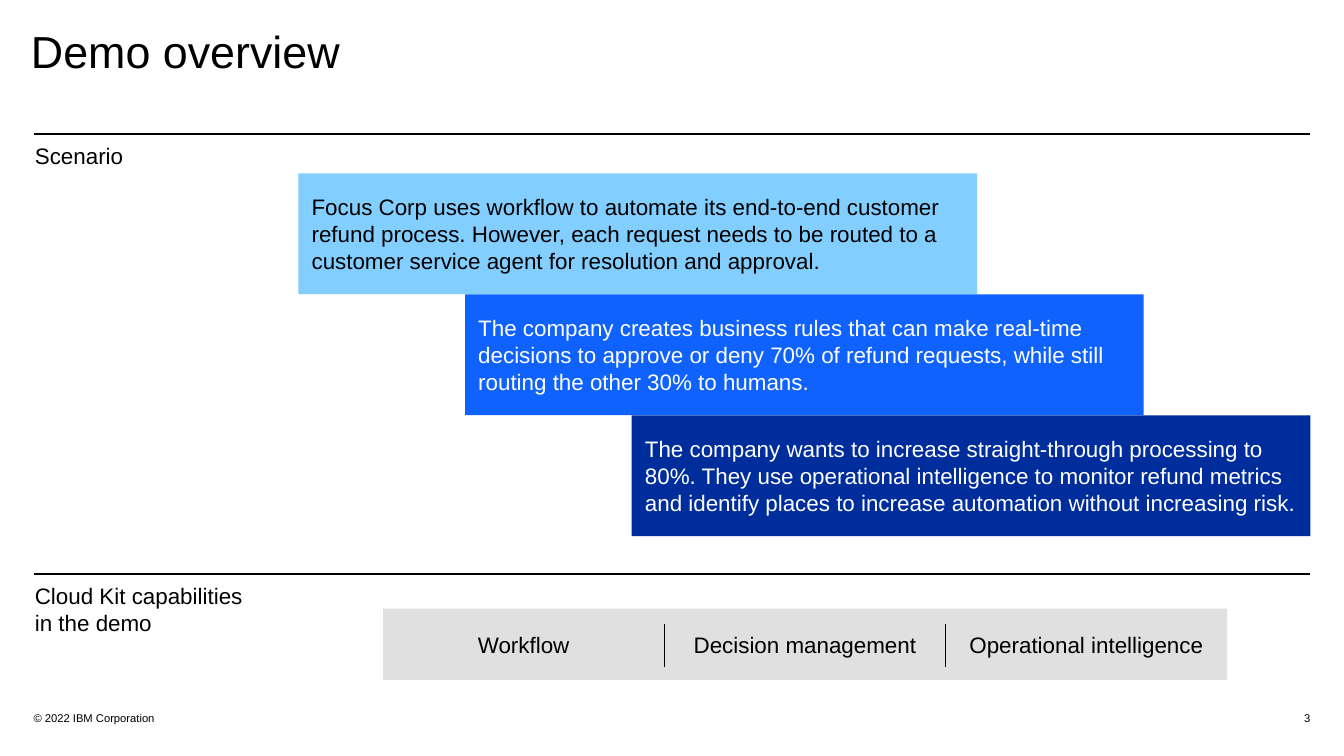
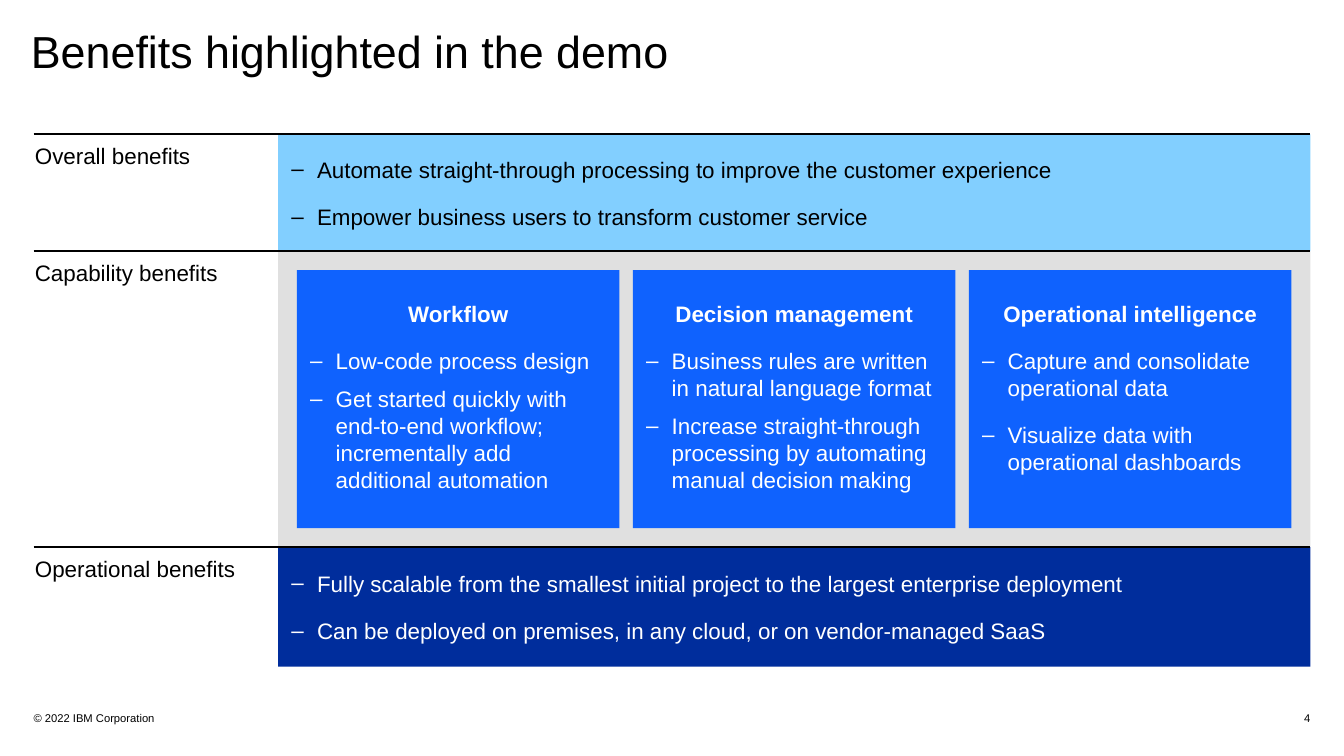
from dataclasses import dataclass

from lxml import etree
from pptx import Presentation
from pptx.dml.color import RGBColor
from pptx.enum.shapes import MSO_CONNECTOR, MSO_SHAPE
from pptx.enum.text import MSO_ANCHOR, MSO_AUTO_SIZE, PP_ALIGN
from pptx.oxml.ns import qn
from pptx.util import Emu, Inches, Pt

LEFT, CENTER, RIGHT = PP_ALIGN.LEFT, PP_ALIGN.CENTER, PP_ALIGN.RIGHT
TOP, MIDDLE = MSO_ANCHOR.TOP, MSO_ANCHOR.MIDDLE
RECT, STRAIGHT = MSO_SHAPE.RECTANGLE, MSO_CONNECTOR.STRAIGHT
NO_AUTOFIT = MSO_AUTO_SIZE.NONE


@dataclass(frozen=True)
class Theme:
    font: str = "Arial"
    ink: str = "000000"
    paper: str = "FFFFFF"
    sky: str = "82CFFF"
    blue: str = "0F62FE"
    navy: str = "002D9C"
    grey: str = "E0E0E0"
    title: int = 24
    body: int = 12
    footer: int = 6
    para_gap: int = 11
    tight_gap: int = 6


T = Theme()

# Grid of square cells, ten to the slide's width
SLIDE_W = Inches(10)
SLIDE_H = SLIDE_W * 9 // 16
CELL = SLIDE_W // 10
MARGIN = 0.25
RIGHT_EDGE = 10 - MARGIN
TEXT_LEFT = 0.23
FIRST_RULE = 1.0
LABEL_INSET = 0.03
SHAPE_INSETS = (0.1, 0.05, 0.1, 0.05)
BULLET_INDENT = 0.19

CAPABILITIES = ("Workflow", "Decision management", "Operational intelligence")


def cells(*lengths):
    return [Emu(round(n * CELL)) for n in lengths]


def rgb(code):
    return RGBColor.from_string(code)


# Text helpers
def setup_frame(tf, anchor, insets):
    tf.word_wrap = True
    tf.auto_size = NO_AUTOFIT
    tf.vertical_anchor = anchor
    (tf.margin_left, tf.margin_top,
     tf.margin_right, tf.margin_bottom) = cells(*insets)


def style(p, color, size=T.body, align=LEFT, bold=False):
    p.alignment = align
    for r in p.runs:
        r.font.name = T.font
        r.font.size = Pt(size)
        r.font.bold = bold
        r.font.color.rgb = rgb(color)
    # Line breaks carry the text size too
    for br in p._p.findall(qn("a:br")):
        etree.SubElement(br, qn("a:rPr"), sz=str(size * 100))


def add_bullet(p, color):
    indent = cells(BULLET_INDENT)[0]
    pPr = p._p.get_or_add_pPr()
    pPr.set("marL", str(indent))
    pPr.set("indent", str(-indent))
    clr = etree.SubElement(pPr, qn("a:buClr"))
    etree.SubElement(clr, qn("a:srgbClr"), val=color)
    etree.SubElement(pPr, qn("a:buFont"), typeface=T.font)
    etree.SubElement(pPr, qn("a:buChar"), char="–")


def fill_list(tf, items, color, heading=None, gap=T.para_gap):
    """Dashed list, with an optional bold centred heading on top."""
    p = tf.paragraphs[0]
    if heading:
        p.text = heading
        style(p, color, align=CENTER, bold=True)
    for i, item in enumerate(items):
        if i or heading:
            p = tf.add_paragraph()
            p.space_before = Pt(gap if i else T.para_gap)
        p.text = item
        add_bullet(p, color)
        style(p, color)


# Element helpers
def add_text(s, box, text, size=T.body, align=LEFT, anchor=TOP,
             inset=LABEL_INSET):
    tf = s.shapes.add_textbox(*cells(*box)).text_frame
    setup_frame(tf, anchor, (inset,) * 4)
    tf.text = text
    style(tf.paragraphs[0], T.ink, size, align)


def add_block(s, box, color, anchor=MIDDLE, insets=SHAPE_INSETS):
    sp = s.shapes.add_shape(RECT, *cells(*box))
    sp.shadow.inherit = False
    sp.fill.solid()
    sp.fill.fore_color.rgb = rgb(color)
    sp.line.fill.background()
    setup_frame(sp.text_frame, anchor, insets)
    return sp.text_frame


def add_line(s, x1, y1, x2, y2, width=1):
    ln = s.shapes.add_connector(STRAIGHT, *cells(x1, y1, x2, y2))
    ln.line.color.rgb = rgb(T.ink)
    ln.line.width = Pt(width)
    etree.SubElement(ln._element.spPr, qn("a:effectLst"))


def add_section(s, top, label):
    """Full-width rule with its row label underneath."""
    add_line(s, MARGIN, top, RIGHT_EDGE, top)
    add_text(s, (TEXT_LEFT, top + 0.03, 1.76, 0.44), label)


def add_slide(prs, title, number):
    s = prs.slides.add_slide(prs.slide_layouts.get_by_name("Title Only"))
    sp = s.shapes.title
    sp.left, sp.top, sp.width, sp.height = cells(
        TEXT_LEFT, 0.22, RIGHT_EDGE - TEXT_LEFT, 0.4)
    setup_frame(sp.text_frame, TOP, (0,) * 4)
    sp.text_frame.text = title
    p = sp.text_frame.paragraphs[0]
    p.line_spacing = 0.9
    style(p, T.ink, T.title)
    # Footer
    for left, width, text, align in (
            (MARGIN, 4.5, "© 2022 IBM Corporation", LEFT),
            (RIGHT_EDGE - 2, 2, str(number), RIGHT)):
        add_text(s, (left, 5.25, width, 0.18), text, T.footer, align,
                 MIDDLE, inset=0)
    return s


# Slide parts
def add_staircase(s, steps):
    width, height, shift, top = 5.05, 0.9, 1.24, 1.29
    left = RIGHT_EDGE - width - shift * (len(steps) - 1)
    for i, (fill, color, text) in enumerate(steps):
        tf = add_block(s, (left + i * shift, top + i * height, width, height),
                       fill)
        tf.text = text
        style(tf.paragraphs[0], color)


def add_capability_bar(s):
    left, top, width, height = 2.85, 4.53, 6.28, 0.53
    add_block(s, (left, top, width, height), T.grey)
    column = width / len(CAPABILITIES)
    for i, name in enumerate(CAPABILITIES):
        x = left + i * column
        add_text(s, (x, top, column, height), name, align=CENTER,
                 anchor=MIDDLE)
        if i:
            add_line(s, x, top + 0.11, x, top + height - 0.1, width=0.25)


def add_cards(s, box, cards):
    left, top, width, height = box
    pad, gap = 0.14, 0.1
    card_w = (width - 2 * pad - gap * (len(cards) - 1)) / len(cards)
    for i, (name, (items, spacing)) in enumerate(zip(CAPABILITIES, cards)):
        x = left + pad + i * (card_w + gap)
        tf = add_block(s, (x, top + pad, card_w, height - 2 * pad), T.blue,
                       TOP, (0.1, 0.22, 0.1, 0.05))
        fill_list(tf, items, T.paper, name, spacing)


def build_overview(prs):
    s = add_slide(prs, "Demo overview", 3)
    add_section(s, FIRST_RULE, "Scenario")
    add_section(s, 4.27, "Cloud Kit capabilities in the demo")
    add_staircase(s, (
        (T.sky, T.ink,
         "Focus Corp uses workflow to automate its end-to-end customer "
         "refund process. However, each request needs to be routed to a "
         "customer service agent for resolution and approval."),
        (T.blue, T.paper,
         "The company creates business rules that can make real-time "
         "decisions to approve or deny 70% of refund requests, while still "
         "routing the other 30% to humans."),
        (T.navy, T.paper,
         "The company wants to increase straight-through processing to 80%. "
         "They use operational intelligence to monitor refund metrics and "
         "identify places to increase automation without increasing risk."),
    ))
    add_capability_bar(s)


def build_benefits(prs):
    s = add_slide(prs, "Benefits highlighted in the demo", 4)
    left = 2.07
    width = RIGHT_EDGE - left
    bands = (
        ("Overall benefits", FIRST_RULE, 0.87, T.sky, T.ink,
         ("Automate straight-through processing to improve the customer "
          "experience",
          "Empower business users to transform customer service")),
        ("Capability benefits", 1.87, 2.2, T.grey, T.ink, ()),
        ("Operational benefits", 4.07, 0.89, T.navy, T.paper,
         ("Fully scalable from the smallest initial project to the largest "
          "enterprise deployment",
          "Can be deployed on premises, in any cloud, or on "
          "vendor-managed SaaS")),
    )
    # Bands first, so that the rules lie over their edges
    for _, top, height, fill, color, items in bands:
        tf = add_block(s, (left, top, width, height), fill)
        fill_list(tf, items, color)
    for label, top, *_ in bands:
        add_section(s, top, label)

    _, top, height, *_ = bands[1]
    add_cards(s, (left, top, width, height), (
        (("Low-code process design",
          "Get started quickly with\nend-to-end workflow;\n"
          "incrementally add\nadditional automation"), T.tight_gap),
        (("Business rules are written\nin natural language format",
          "Increase straight-through\nprocessing by automating\n"
          "manual decision making"), T.tight_gap),
        (("Capture and consolidate\noperational data",
          "Visualize data with\noperational dashboards"), T.para_gap),
    ))


def main():
    prs = Presentation()
    prs.slide_width, prs.slide_height = SLIDE_W, SLIDE_H
    build_overview(prs)
    build_benefits(prs)
    prs.save("out.pptx")


if __name__ == "__main__":
    main()
